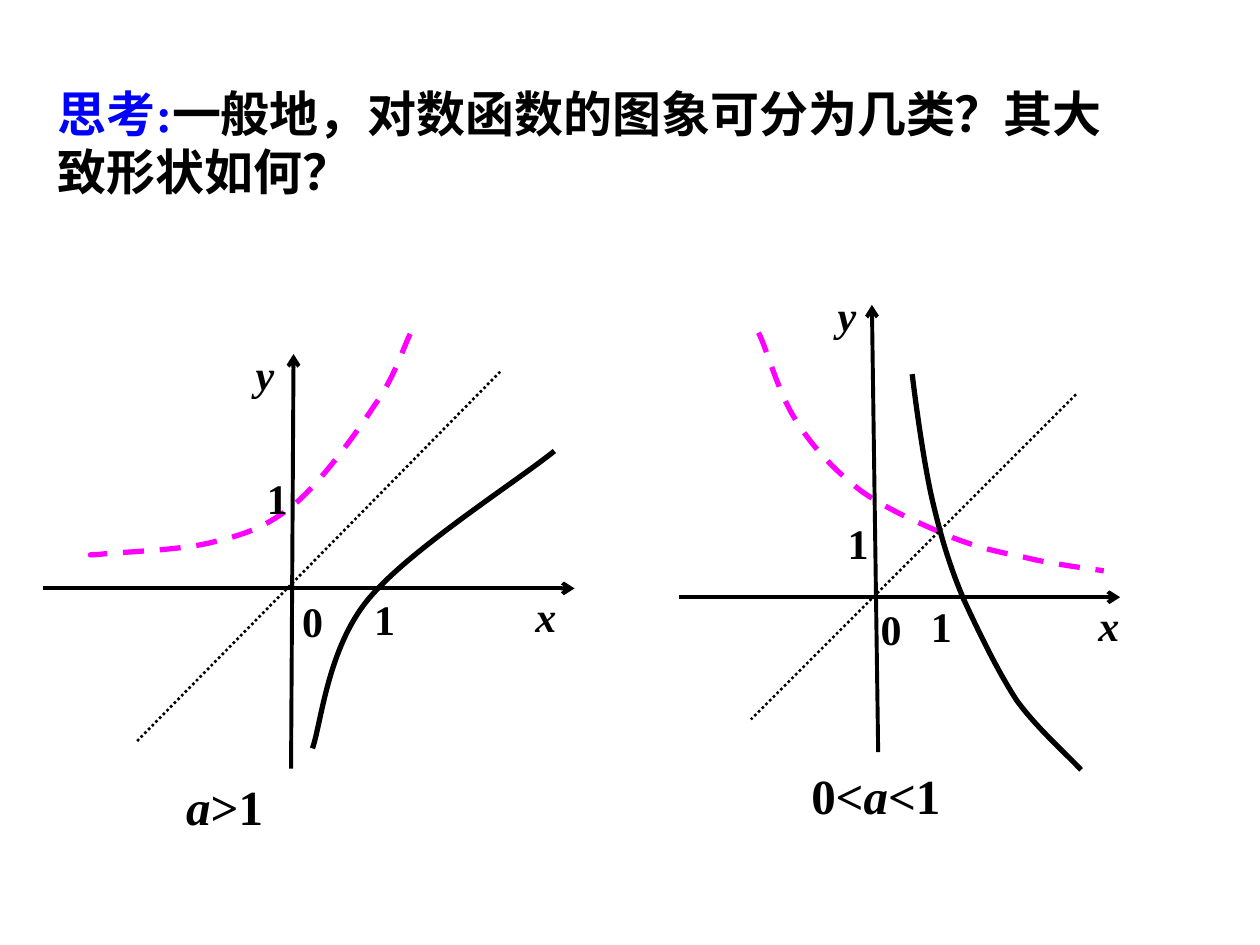
from pptx import Presentation
from pptx import util as u
from pptx.dml.color import RGBColor
from pptx.enum import dml, shapes, text
from pptx.oxml import parse_xml
from pptx.oxml.ns import nsdecls, qn

BLACK = RGBColor(0, 0, 0)
BLUE = RGBColor(0, 0, 255)
MAGENTA = RGBColor(255, 0, 255)
FONT = "Times New Roman"

# Content: runs are (text, italic, colour); places are in inches
QUESTION = [("思考:", False, BLUE),
            ("一般地，对数函数的图象可分为几类？其大致形状如何？", False, BLACK)]

# Curves are a start point, then two handles and an end for each piece
GRAPHS = [
    dict(
        caption=[("a", True, BLACK), (">1", False, BLACK)],
        caption_box=(1.38, 6.11, 1.34, 0.57),
        axes=[((0.34, 4.67), (4.56, 4.67)), ((2.31, 6.1), (2.33, 2.81))],
        diagonal=((3.97, 2.95), (1.08, 5.89)),
        label_size=(0.79, 0.59),
        labels=[("y", 1.93, 2.72), ("x", 4.15, 4.64), ("0", 2.3, 4.68),
                ("1", 2.02, 3.7), ("1", 2.87, 4.66)],
        exponential=[(0.75, 4.4), (0.76, 4.4), (0.64, 4.41),
                     (0.79, 4.4), (0.95, 4.38), (1.44, 4.37),
                     (1.7, 4.3), (1.95, 4.24), (2.12, 4.18),
                     (2.34, 4), (2.55, 3.82), (2.82, 3.45),
                     (2.97, 3.22), (3.13, 3), (3.2, 2.76), (3.26, 2.64)],
        logarithm=[(2.48, 5.94), (2.55, 5.74), (2.6, 5.15), (2.92, 4.76),
                   (3.24, 4.37), (4.09, 3.83), (4.4, 3.58)],
    ),
    dict(
        caption=[("0<", False, BLACK), ("a", True, BLACK), ("<1", False, BLACK)],
        caption_box=(6.34, 6.03, 1.89, 0.57),
        axes=[((5.39, 4.74), (8.89, 4.74)), ((6.97, 5.97), (6.92, 2.42))],
        diagonal=((8.54, 3.13), (5.96, 5.71)),
        label_size=(0.66, 0.69),
        labels=[("y", 6.55, 2.25), ("x", 8.62, 4.71), ("0", 6.89, 4.74),
                ("1", 6.63, 4.06), ("1", 7.29, 4.72)],
        exponential=[(6.02, 2.64), (6.08, 2.75), (6.18, 3.13),
                     (6.32, 3.34), (6.45, 3.55), (6.63, 3.74),
                     (6.84, 3.9), (7.05, 4.05), (7.36, 4.18),
                     (7.57, 4.27), (7.78, 4.35), (7.92, 4.38),
                     (8.12, 4.42), (8.31, 4.47), (8.62, 4.51), (8.76, 4.53)],
        logarithm=[(7.24, 2.97), (7.26, 3.14), (7.33, 3.67),
                   (7.4, 3.97), (7.47, 4.27), (7.54, 4.5),
                   (7.65, 4.76), (7.77, 5.02), (7.92, 5.33),
                   (8.07, 5.56), (8.23, 5.78), (8.48, 6), (8.58, 6.11)],
    ),
]


def cm(*inches):
    return [u.Cm(2.54 * value) for value in inches]


def write(frame, runs, size=28, align=text.PP_ALIGN.LEFT):
    frame.word_wrap = True
    frame.auto_size = text.MSO_AUTO_SIZE.NONE
    frame.vertical_anchor = text.MSO_ANCHOR.TOP
    paragraph = frame.paragraphs[0]
    paragraph.alignment = align
    for words, italic, color in runs:
        run = paragraph.add_run()
        run.text = words
        font = run.font
        font.name, font.size, font.bold, font.italic = FONT, u.Pt(size), True, italic
        font.color.rgb = color


def add_line(parent, start, end, width=2.25, arrow=False, dash=None):
    line = parent.add_connector(shapes.MSO_CONNECTOR.STRAIGHT, *cm(*start, *end))
    line.line.color.rgb = BLACK
    line.line.width = u.Pt(width)
    if dash:
        line.line.dash_style = dash
    if arrow:
        line.line._get_or_add_ln().append(
            parse_xml(f'<a:tailEnd {nsdecls("a")} type="arrow"/>'))
    line._element.spPr.append(parse_xml(f'<a:effectLst {nsdecls("a")}/>'))


def add_curve(parent, knots, color, dash=None):
    start, *rest = [cm(*knot) for knot in knots]
    builder = parent.build_freeform(*start)
    builder.add_line_segments(rest, close=False)
    curve = builder.convert_to_shape()

    # Join each three straight segments into one cubic piece
    segments = list(curve._element.iter(qn("a:lnTo")))
    for i in range(0, len(segments), 3):
        piece = parse_xml(f'<a:cubicBezTo {nsdecls("a")}/>')
        segments[i].addprevious(piece)
        for segment in segments[i:i + 3]:
            piece.append(segment[0])
            segment.getparent().remove(segment)

    curve.shadow.inherit = False
    curve.fill.background()
    curve.line.color.rgb = color
    curve.line.width = u.Pt(3)
    if dash:
        curve.line.dash_style = dash


def add_graph(slide, graph):
    add_curve(slide.shapes, graph["exponential"], MAGENTA, dml.MSO_LINE.DASH)

    # Axes, the line y = x and the labels
    system = slide.shapes.add_group_shape().shapes
    add_line(system, *graph["diagonal"], width=1.5, dash=dml.MSO_LINE.ROUND_DOT)
    for axis in graph["axes"]:
        add_line(system, *axis, arrow=True)
    for label, left, top in graph["labels"]:
        box = system.add_textbox(*cm(left, top, *graph["label_size"]))
        write(box.text_frame, [(label, label.isalpha(), BLACK)],
              size=24, align=text.PP_ALIGN.JUSTIFY)

    add_curve(slide.shapes, graph["logarithm"], BLACK)
    caption = slide.shapes.add_textbox(*cm(*graph["caption_box"]))
    write(caption.text_frame, graph["caption"])


def main():
    prs = Presentation()
    prs.slide_width, prs.slide_height = u.Cm(25.4), u.Cm(19.05)
    slide = prs.slides.add_slide(prs.slide_layouts[5])

    # Question
    title = slide.shapes.title
    title.left, title.top, title.width, title.height = cm(0.36, 0.61, 8.82, 1.04)
    write(title.text_frame, QUESTION)

    # The two cases
    for graph in GRAPHS:
        add_graph(slide, graph)
    prs.save("out.pptx")


if __name__ == "__main__":
    main()
